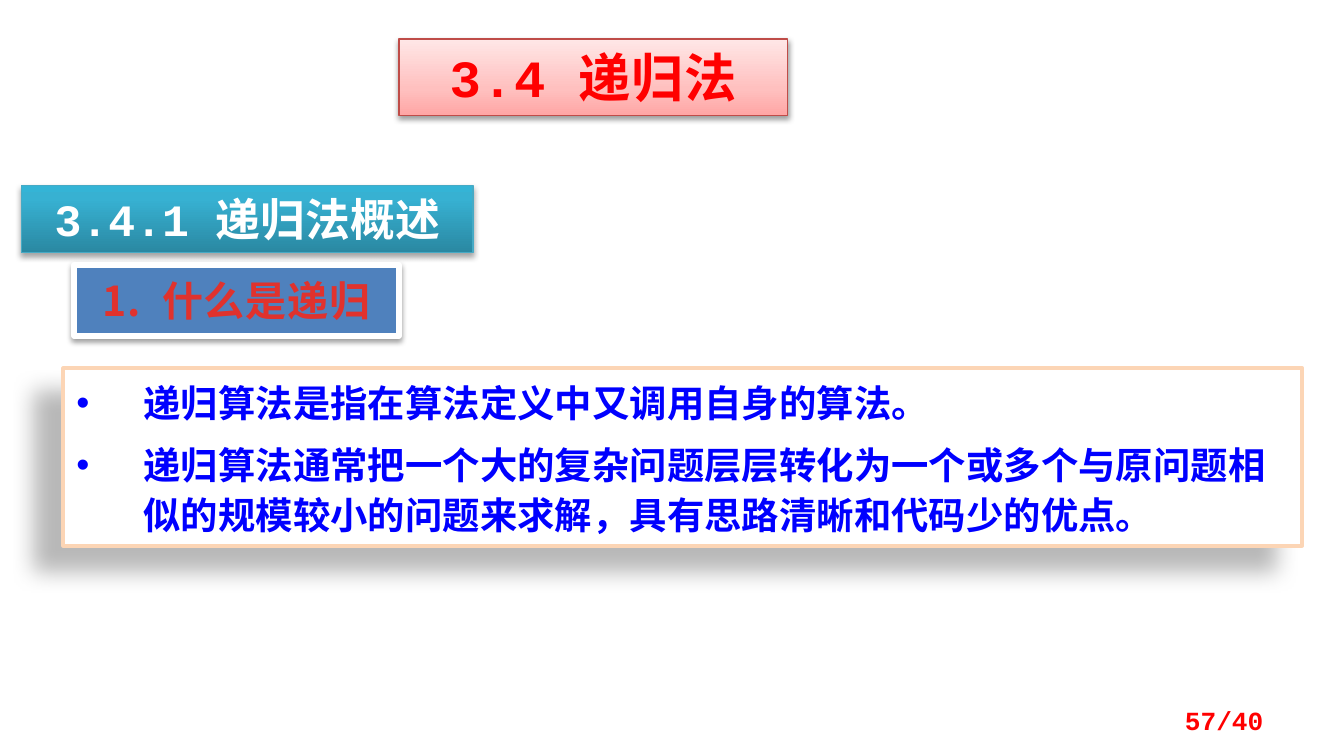
from lxml import etree
from pptx import Presentation
from pptx.dml.color import RGBColor
from pptx.enum.shapes import MSO_SHAPE
from pptx.enum.text import MSO_ANCHOR, MSO_AUTO_SIZE, PP_ALIGN
from pptx.oxml.ns import qn
from pptx.util import Inches, Pt

LEFT, CENTER, RIGHT = PP_ALIGN.LEFT, PP_ALIGN.CENTER, PP_ALIGN.RIGHT
TOP, MIDDLE = MSO_ANCHOR.TOP, MSO_ANCHOR.MIDDLE
GROW, FIXED = MSO_AUTO_SIZE.SHAPE_TO_FIT_TEXT, MSO_AUTO_SIZE.NONE
RECTANGLE = MSO_SHAPE.RECTANGLE
TITLE_ONLY = 5
WIDTH = 10
HEIGHT = WIDTH * 9 / 16
CHINESE_FONT = "Noto Sans CJK SC"

TITLE = {
    "texts": ["3.4 递归法"],
    "box": (2.97, 0.29, 2.89, 0.57),
    "fill": [(0, "FFA6A5"), (35, "FFC0BF"), (100, "FFE7E7")],
    "line": ("BF4C48", 0.75),
    "shadow": ("000000", 38, 3.1, 1.6, 90),
    "font": {"name": "Courier New", "size": 28, "color": "FF0000"},
    "paragraph": {"alignment": CENTER, "space_before": Pt(6)},
    "frame": {"auto_size": FIXED},
    "tracking": 0.5,
}
BOXES = [
    {
        "texts": ["3.4.1 递归法概述"],
        "box": (0.16, 1.38, 3.36, 0.5),
        "fill": [(0, "2A88A2"), (80, "37B1D2"), (100, "34B4D6")],
        "line": ("46AAC5", 0.75),
        "shadow": ("000000", 35, 3.1, 1.8, 90),
        "font": {"name": "Courier New", "size": 24, "color": "FFFFFF"},
        "paragraph": {"alignment": CENTER, "space_before": Pt(6)},
    },
    {
        "texts": [
            "递归算法是指在算法定义中又调用自身的算法。",
            "递归算法通常把一个大的复杂问题层层转化为一个或多个与原问题相似的规模较小的问题来求解，具有思路清晰和代码少的优点。",
        ],
        "box": (0.47, 2.74, 9.22, 1.32),
        "fill": "FFFFFF",
        "line": ("FCD5B5", 2),
        "shadow": ("000000", 28, 11.8, 19.7, 141),
        "font": {"name": "Calibri", "size": 20, "color": "0000FF"},
        "paragraph": {"alignment": LEFT, "space_before": Pt(6), "line_spacing": Pt(27)},
        "bullet": "•",
    },
    {
        "texts": ["1.  什么是递归"],
        "box": (0.55, 1.97, 2.42, 0.53),
        "fill": "4F81BD",
        "line": ("FFFFFF", 3),
        "shadow": ("000000", 38, 3.1, 1.6, 90),
        "font": {"name": CHINESE_FONT, "size": 22, "color": "E0322D"},
        "paragraph": {"alignment": CENTER},
        "frame": {"margin_top": Inches(0.08), "margin_bottom": Inches(0.08)},
        "tracking": 0.5,
    },
]
PAGE_NUMBER = {
    "texts": ["57/40"],
    "box": (7.17, 5.21, 2.33, 0.3),
    "font": {"name": "Courier New", "size": 14, "color": "FF0000"},
    "paragraph": {"alignment": RIGHT},
    "frame": {"vertical_anchor": MIDDLE, "auto_size": FIXED},
}


def rgb(value):
    return RGBColor.from_string(value)


def set_all(target, values):
    for name, value in values.items():
        setattr(target, name, value)


def add_element(parent, tag, **attributes):
    element = etree.SubElement(parent, qn(tag))
    for name, value in attributes.items():
        element.set(name, str(value))
    return element


def place(box):
    return [Inches(length) for length in box]


def paint(shape, fill, line, shadow):
    if isinstance(fill, str):
        shape.fill.solid()
        shape.fill.fore_color.rgb = rgb(fill)
    else:
        shape.fill.gradient()
        shape.fill.gradient_angle = 90
        stops = shape._element.spPr.find(".//" + qn("a:gsLst"))
        for stop in list(stops):
            stops.remove(stop)
        for position, color in fill:
            stop = add_element(stops, "a:gs", pos=position * 1000)
            add_element(stop, "a:srgbClr", val=color)
    line_color, line_width = line
    shape.line.color.rgb = rgb(line_color)
    shape.line.width = Pt(line_width)
    shape.shadow.inherit = False
    color, opacity, blur, distance, angle = shadow
    effects = shape._element.spPr.find(qn("a:effectLst"))
    outer = add_element(effects, "a:outerShdw", blurRad=Pt(blur), dist=Pt(distance),
                        dir=angle * 60000, algn="ctr", rotWithShape=0)
    shade = add_element(outer, "a:srgbClr", val=color)
    add_element(shade, "a:alpha", val=opacity * 1000)


def write(shape, item):
    frame = shape.text_frame
    set_all(frame, {"word_wrap": True, "vertical_anchor": TOP, "auto_size": GROW,
                    **item.get("frame", {})})
    style = item["font"]
    for index, text in enumerate(item["texts"]):
        paragraph = frame.add_paragraph() if index else frame.paragraphs[0]
        set_all(paragraph, item["paragraph"])
        if "bullet" in item:
            properties = paragraph._p.get_or_add_pPr()
            properties.set("marL", str(Inches(0.5)))
            properties.set("indent", str(-Inches(0.5)))
            add_element(properties, "a:buFont", typeface="Arial")
            add_element(properties, "a:buChar", char=item["bullet"])
        run = paragraph.add_run()
        run.text = text
        set_all(run.font, {"name": style["name"], "size": Pt(style["size"]), "bold": True})
        run.font.color.rgb = rgb(style["color"])
        run_properties = run._r.get_or_add_rPr()
        add_element(run_properties, "a:ea", typeface=CHINESE_FONT)
        if "tracking" in item:
            run_properties.set("spc", str(int(item["tracking"] * 100)))


def main():
    presentation = Presentation()
    presentation.slide_width = Inches(WIDTH)
    presentation.slide_height = Inches(HEIGHT)
    slide = presentation.slides.add_slide(presentation.slide_layouts[TITLE_ONLY])

    title = slide.shapes.title
    title.left, title.top, title.width, title.height = place(TITLE["box"])
    paint(title, TITLE["fill"], TITLE["line"], TITLE["shadow"])
    write(title, TITLE)

    for item in BOXES:
        shape = slide.shapes.add_shape(RECTANGLE, *place(item["box"]))
        paint(shape, item["fill"], item["line"], item["shadow"])
        write(shape, item)

    write(slide.shapes.add_textbox(*place(PAGE_NUMBER["box"])), PAGE_NUMBER)
    presentation.save("out.pptx")


if __name__ == "__main__":
    main()
